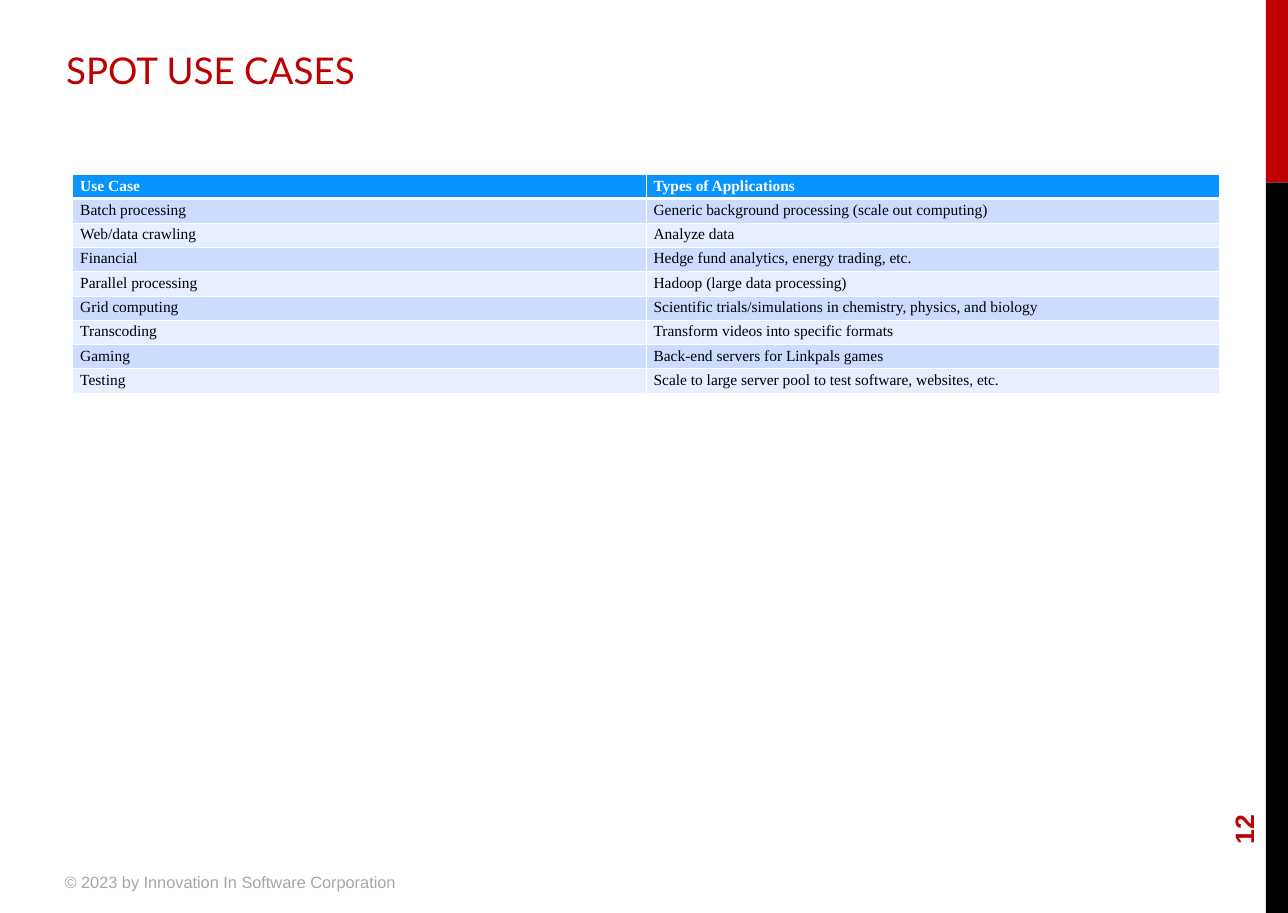
from pptx import Presentation
from pptx.dml.color import RGBColor
from pptx.enum.shapes import MSO_SHAPE
from pptx.enum.text import MSO_ANCHOR, PP_ALIGN
from pptx.oxml import parse_xml
from pptx.oxml.ns import nsdecls
from pptx.util import Inches, Pt

# Content
TITLE = "SPOT USE CASES"
PAGE_NUMBER = "12"
COPYRIGHT = "© 2023 by Innovation In Software Corporation"
USE_CASES = [
    ("Use Case", "Types of Applications"),
    ("Batch processing", "Generic background processing (scale out computing)"),
    ("Web/data crawling", "Analyze data"),
    ("Financial", "Hedge fund analytics, energy trading, etc."),
    ("Parallel processing", "Hadoop (large data processing)"),
    ("Grid computing", "Scientific trials/simulations in chemistry, physics, and biology"),
    ("Transcoding", "Transform videos into specific formats"),
    ("Gaming", "Back-end servers for Linkpals games"),
    ("Testing", "Scale to large server pool to test software, websites, etc."),
]

THEME = {
    "red": "C00000", "black": "000000", "white": "FFFFFF", "grey": "A6A6A6",
    "header": "0794FF", "bands": ("CCDCFF", "E7EEFF"),
    "title": ("Lato", 36), "number": ("Arial", 26),
    "footer": ("Arial", 16), "table": ("Times New Roman", 15.1),
}

# Layout, in inches
WIDTH, HEIGHT = 17.5, 12.4
BAR_WIDTH, RED_SHARE = 0.3, 0.2
TABLE_LEFT, TABLE_TOP, COLUMN_WIDTH, ROW_HEIGHT = 0.99, 2.37, 7.79, 0.33

# Border widths and cell margin, in points
THIN, THICK, CELL_MARGIN = 1, 3, 2.8


def set_font(paragraph, style, color, bold=False):
    name, size = THEME[style]
    paragraph.font.name = name
    paragraph.font.size = Pt(size)
    paragraph.font.bold = bold
    paragraph.font.color.rgb = RGBColor.from_string(color)


def add_bar(slide, top, height, color):
    bar = slide.shapes.add_shape(
        MSO_SHAPE.RECTANGLE, Inches(WIDTH - BAR_WIDTH), Inches(top),
        Inches(BAR_WIDTH), Inches(height))
    bar.shadow.inherit = False
    bar.fill.solid()
    bar.fill.fore_color.rgb = RGBColor.from_string(color)
    bar.line.fill.background()


def add_text(slide, text, box, style, color, bold=False):
    shape = slide.shapes.add_textbox(*map(Inches, box))
    frame = shape.text_frame
    frame.word_wrap = True
    frame.vertical_anchor = MSO_ANCHOR.TOP
    frame.text = text
    set_font(frame.paragraphs[0], style, color, bold)
    return shape


def add_borders(cell, widths):
    properties = cell._tc.get_or_add_tcPr()
    for side, width in widths.items():
        properties.append(parse_xml(
            f'<a:ln{side} {nsdecls("a")} w="{Pt(width)}"><a:solidFill>'
            f'<a:srgbClr val="{THEME["white"]}"/></a:solidFill></a:ln{side}>'))


def add_use_case_table(slide):
    rows, columns = len(USE_CASES), len(USE_CASES[0])
    table = slide.shapes.add_table(
        rows, columns, Inches(TABLE_LEFT), Inches(TABLE_TOP),
        Inches(columns * COLUMN_WIDTH), Inches(rows * ROW_HEIGHT)).table
    for column in table.columns:
        column.width = Inches(COLUMN_WIDTH)
    for row_index, values in enumerate(USE_CASES):
        table.rows[row_index].height = Inches(ROW_HEIGHT)
        is_header = row_index == 0
        fill = THEME["header"] if is_header else THEME["bands"][(row_index - 1) % 2]
        color = THEME["white"] if is_header else THEME["black"]
        borders = {"L": THIN, "R": THIN,
                   "T": THICK if row_index == 1 else THIN,
                   "B": THICK if is_header else THIN}
        for column_index, value in enumerate(values):
            cell = table.cell(row_index, column_index)
            cell.text = value
            cell.margin_top = cell.margin_bottom = Pt(CELL_MARGIN)
            set_font(cell.text_frame.paragraphs[0], "table", color, is_header)
            add_borders(cell, borders)
            cell.fill.solid()
            cell.fill.fore_color.rgb = RGBColor.from_string(fill)


def main():
    presentation = Presentation()
    presentation.slide_width = Inches(WIDTH)
    presentation.slide_height = Inches(HEIGHT)
    slide = presentation.slides.add_slide(presentation.slide_layouts[6])

    # Side bar
    red_height = HEIGHT * RED_SHARE
    add_bar(slide, 0, red_height, THEME["red"])
    add_bar(slide, red_height, HEIGHT - red_height, THEME["black"])

    # Page number, footer and title
    number = add_text(slide, PAGE_NUMBER, (16.34, 11.04, 1.04, 0.46),
                      "number", THEME["red"], bold=True)
    number.rotation = 270
    number.text_frame.paragraphs[0].alignment = PP_ALIGN.CENTER
    add_text(slide, COPYRIGHT, (0.78, 11.8, 15.97, 0.46), "footer", THEME["grey"])
    add_text(slide, TITLE, (0.8, 0.6, 15.95, 1), "title", THEME["red"])

    # Use cases
    add_use_case_table(slide)
    presentation.save("out.pptx")


if __name__ == "__main__":
    main()
